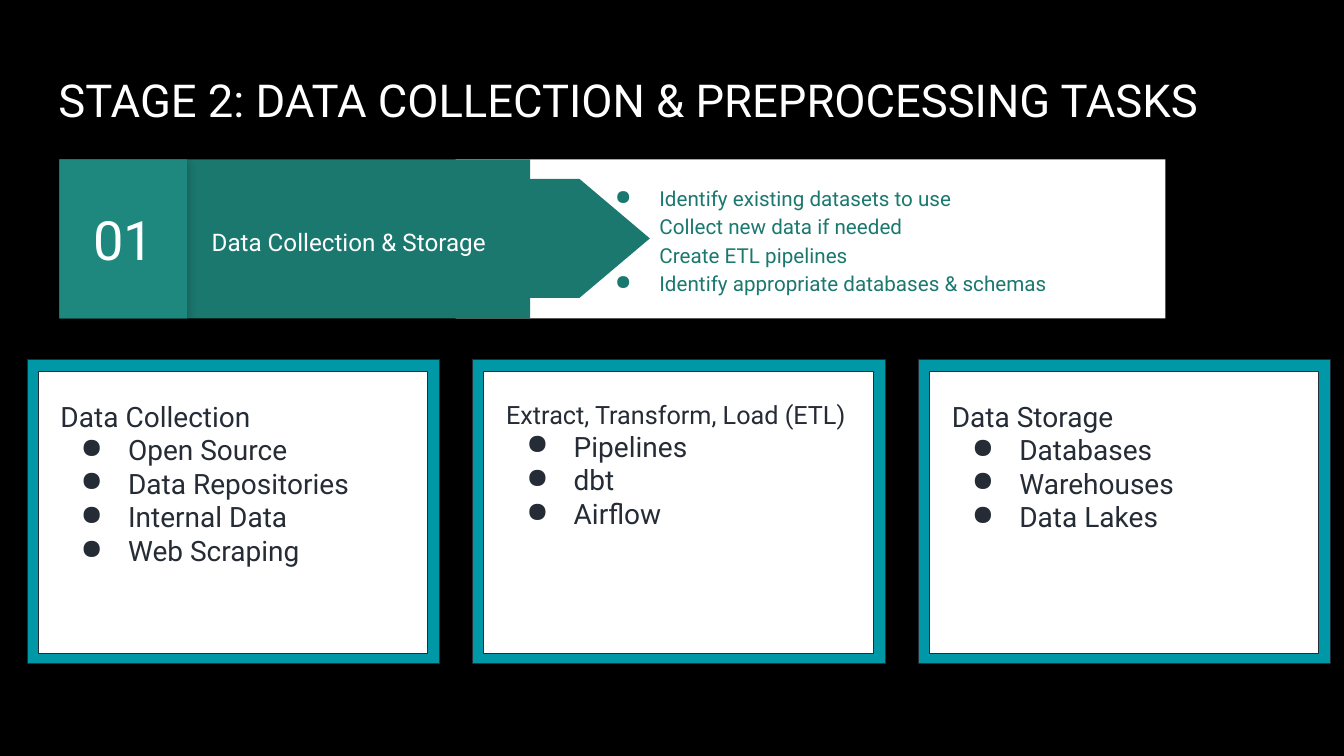
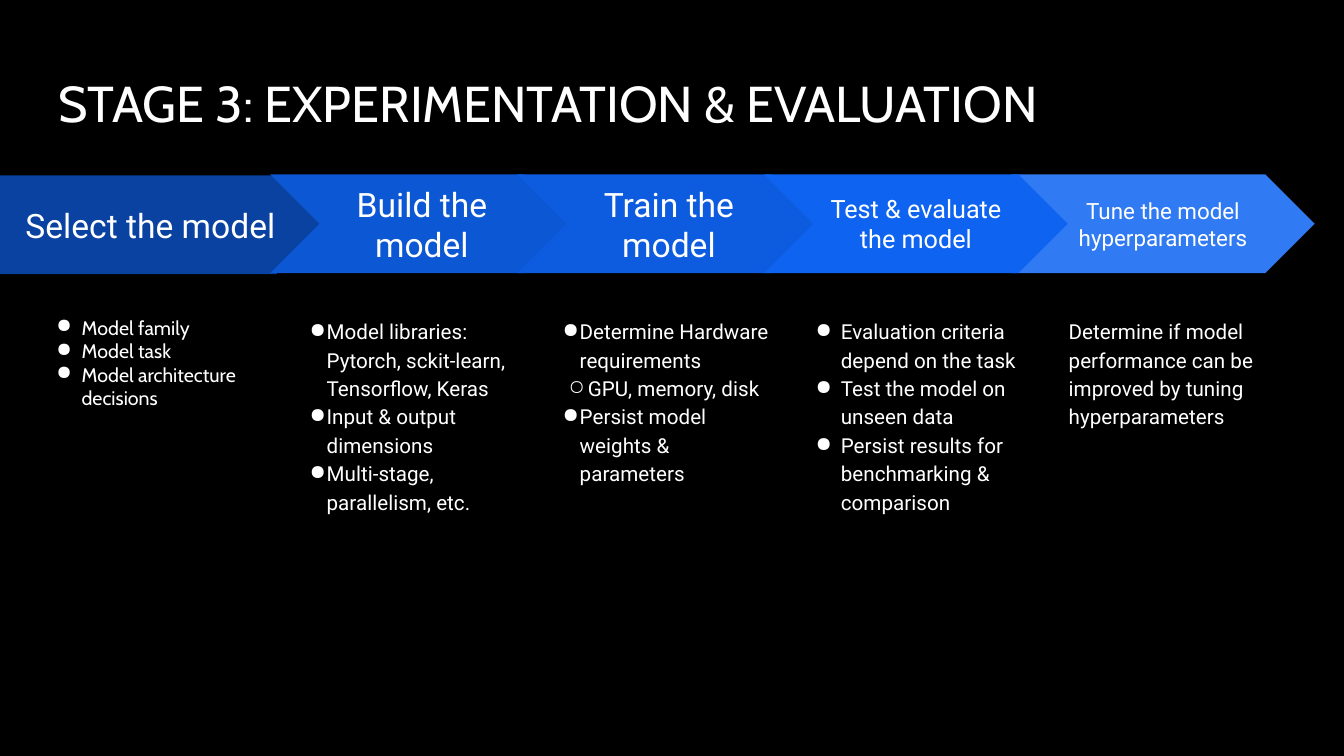
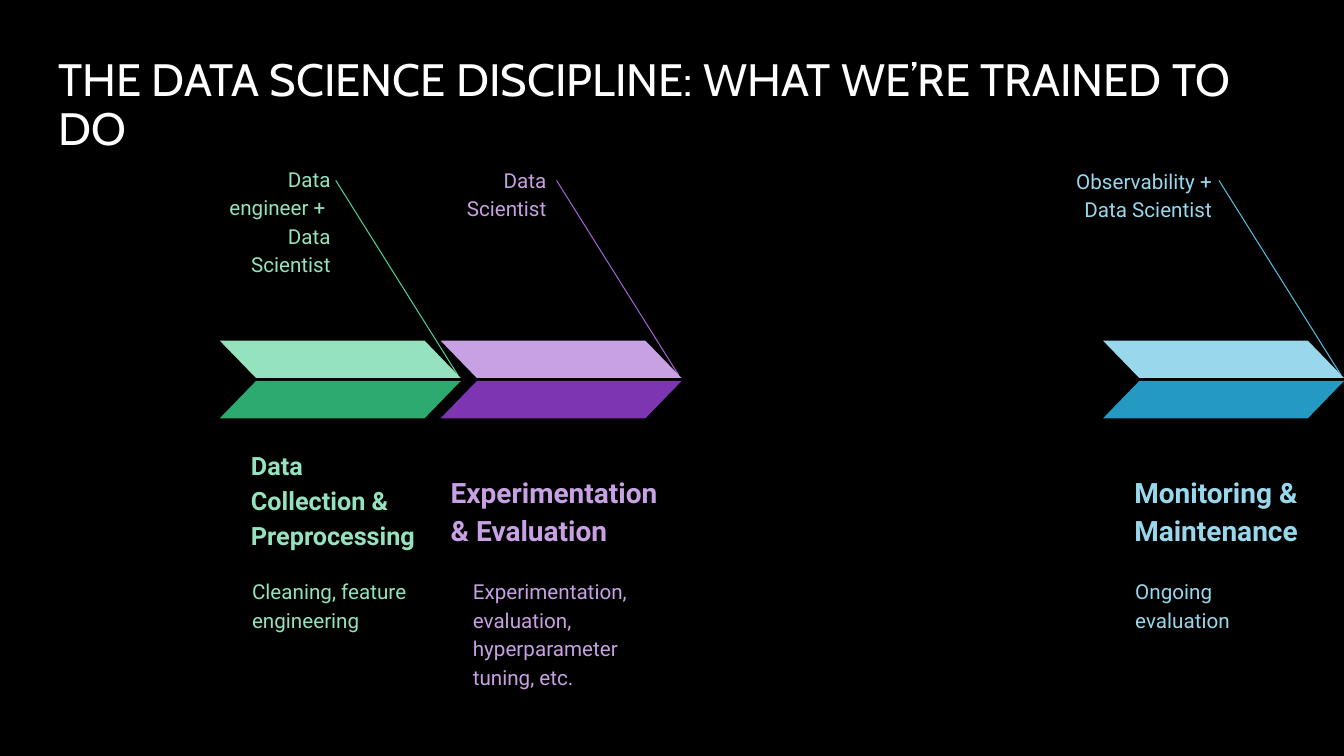
from dataclasses import dataclass

from lxml import etree
from pptx import Presentation
from pptx.dml.color import RGBColor
from pptx.enum import shapes, text
from pptx.oxml import ns
from pptx.util import Inches, Pt

COLORS = {
    "background": "000000", "white": "FFFFFF", "ink": "252C36", "frame": "0097A7",
    "teal": "1B786F", "teal_number": "1F887E", "teal_shade": "1D7E75",
    "step1": "0942A1", "step2": "0C57D3", "step3": "0D5CDF", "step4": "0E63F0",
    "step5": "307AF3",
    "green_light": "95E3BE", "green_line": "4FD093", "green_dark": "2DAA6F",
    "purple_light": "C7A1E3", "purple_line": "A262D0", "purple_dark": "7D35B1",
    "blue_light": "98D7EC", "blue_line": "54BCDF", "blue_dark": "249AC2",
}
BODY_SIZE = 14.7
MARGIN = 0.13
SHAPE = shapes.MSO_SHAPE
ALIGN = text.PP_ALIGN
ANCHOR = text.MSO_ANCHOR


@dataclass
class Item:
    """A paragraph; indent and hang are in inches."""
    text: str
    bullet: str = ""
    indent: float = 0
    hang: float = 0
    size: float = 0
    level: int = 0


def bullets(lines, indent, hang):
    return [Item(line, "●", indent, hang) for line in lines]


def rgb(color):
    return RGBColor.from_string(COLORS[color])


def add_xml(parent, tag, **attributes):
    element = etree.SubElement(parent, ns.qn(tag))
    for name, value in attributes.items():
        element.set(name, str(value))
    return element


def set_bullet(paragraph, item):
    properties = paragraph._p.get_or_add_pPr()
    properties.set("marL", str(Inches(item.indent)))
    properties.set("indent", str(-Inches(item.hang)))
    if item.bullet:
        add_xml(properties, "a:buChar", char=item.bullet)
    else:
        add_xml(properties, "a:buNone")


def write(shape, items, size, color="white", font="Roboto", align=ALIGN.LEFT,
          anchor=ANCHOR.TOP, spacing=1.0, bold=False):
    frame = shape.text_frame
    frame.word_wrap = True
    frame.vertical_anchor = anchor
    frame.margin_left = frame.margin_right = Inches(MARGIN)
    frame.margin_top = frame.margin_bottom = Inches(MARGIN)
    items = [Item(items)] if isinstance(items, str) else items
    for index, item in enumerate(items):
        paragraph = frame.add_paragraph() if index else frame.paragraphs[0]
        paragraph.text = item.text
        paragraph.level = item.level
        set_bullet(paragraph, item)
        paragraph.alignment = align
        paragraph.line_spacing = spacing
        paragraph.font.name = font
        paragraph.font.size = Pt(item.size or size)
        paragraph.font.bold = bold
        paragraph.font.color.rgb = rgb(color)


def add_text(slide, box, items, size=BODY_SIZE, **style):
    write(slide.shapes.add_textbox(*map(Inches, box)), items, size, **style)


def add_box(slide, kind, box, fill, line=None):
    shape = slide.shapes.add_shape(kind, *map(Inches, box))
    shape.shadow.inherit = False
    shape.fill.solid()
    shape.fill.fore_color.rgb = rgb(fill)
    if line:
        shape.line.color.rgb = rgb(line)
        shape.line.width = Pt(0.75)
    else:
        shape.line.fill.background()
    return shape


def flip_horizontally(shape):
    shape._element.spPr.find(ns.qn("a:xfrm")).set("flipH", "1")


def add_soft_shadow(shape):
    effects = shape._element.spPr.find(ns.qn("a:effectLst"))
    shadow = add_xml(effects, "a:outerShdw", blurRad=Pt(5.6), dist=Pt(2.2),
                     dir=45 * 60000, algn="tl", rotWithShape=0)
    add_xml(add_xml(shadow, "a:srgbClr", val=COLORS["background"]), "a:alpha", val=17000)


def add_line(slide, start, end, color):
    line = slide.shapes.add_connector(shapes.MSO_CONNECTOR.STRAIGHT,
                                      *map(Inches, (*start, *end)))
    line.line.color.rgb = rgb(color)
    line.line.width = Pt(0.75)
    add_xml(line._element.spPr, "a:effectLst")


def add_slide(presentation, title, size, font="Cabin", top=0.65):
    slide = presentation.slides.add_slide(presentation.slide_layouts[6])
    slide.background.fill.solid()
    slide.background.fill.fore_color.rgb = rgb("background")
    add_text(slide, (0.45, top, 12.42, 0.84), title, size, font=font, spacing=0.9)
    return slide


def add_stage_banner(slide):
    top, height = 1.58, 1.58
    add_box(slide, SHAPE.RECTANGLE, (4.52, top, 7.04, height), "white")
    add_box(slide, SHAPE.RECTANGLE, (1.86, top, 3.4, height), "teal")
    pointer = add_box(slide, SHAPE.FLOWCHART_OFFPAGE_CONNECTOR,
                      (4.11, 0.62, 1.18, 3.49), "teal")
    pointer.rotation = 270
    add_text(slide, (1.97, 1.77, 3.58, 1.22), "Data Collection & Storage", 17.3,
             anchor=ANCHOR.MIDDLE, spacing=1.15)
    number_box = (0.59, top, 1.27, height)
    add_soft_shadow(add_box(slide, SHAPE.RECTANGLE, number_box, "teal_shade"))
    number = add_box(slide, SHAPE.RECTANGLE, number_box, "teal_number")
    write(number, "01", 38.7, align=ALIGN.CENTER, anchor=ANCHOR.MIDDLE)
    tasks = [
        Item("Identify existing datasets to use", "●", 0.67, 0.44),
        Item("Collect new data if needed", indent=0.67),
        Item("Create ETL pipelines", indent=0.67),
        Item("Identify appropriate databases & schemas", "●", 0.67, 0.44),
    ]
    add_text(slide, (5.74, top, 5.48, height), tasks, color="teal",
             anchor=ANCHOR.MIDDLE, spacing=1.15)


def add_card(slide, left, heading, lines):
    add_box(slide, SHAPE.RECTANGLE, (left, 3.57, 4.09, 3.01), "frame", "ink")
    add_box(slide, SHAPE.RECTANGLE, (left + 0.11, 3.69, 3.86, 2.79), "white", "ink")
    add_text(slide, (left + 0.2, 3.83, 3.68, 2.56),
             [heading, *bullets(lines, 0.67, 0.47)], 20, color="ink")


def build_collection(presentation):
    slide = add_slide(presentation, "STAGE 2: DATA COLLECTION & PREPROCESSING TASKS",
                      32.4, font="Roboto")
    add_stage_banner(slide)
    cards = [
        (Item("Data Collection"),
         ["Open Source", "Data Repositories", "Internal Data", "Web Scraping"]),
        (Item("Extract, Transform, Load (ETL)", size=18), ["Pipelines", "dbt", "Airflow"]),
        (Item("Data Storage"), ["Databases", "Warehouses", "Data Lakes"]),
    ]
    for index, (heading, lines) in enumerate(cards):
        add_card(slide, 0.27 + 4.42 * index, heading, lines)


def add_step(slide, index, label, label_size, details, **style):
    if index:
        kind, box = SHAPE.CHEVRON, (2.68 + 2.45 * (index - 1), 1.73, 3.01, 0.98)
    else:
        kind, box = SHAPE.PENTAGON, (0, 1.74, 3.23, 0.98)
    arrow = add_box(slide, kind, box, f"step{index + 1}")
    write(arrow, label, label_size, align=ALIGN.CENTER, anchor=ANCHOR.MIDDLE)
    add_text(slide, (0.43 + 2.51 * index, 3, 2.37, 3.43), details, **style)


def build_experimentation(presentation):
    slide = add_slide(presentation, "STAGE 3: EXPERIMENTATION & EVALUATION", 36)
    add_step(slide, 0, "Select the model", 24,
             bullets(["Model family", "Model task", "Model architecture decisions"],
                     0.25, 0.26), size=14, font="Cabin")
    hardware, persist = bullets(["Determine Hardware requirements",
                                 "Persist model weights & parameters"], 0.17, 0.19)
    steps = [
        (1, "Build the model", 24,
         bullets(["Model libraries: Pytorch, sckit-learn, Tensorflow, Keras",
                  "Input & output dimensions", "Multi-stage, parallelism, etc."],
                 0.17, 0.19)),
        (2, "Train the model", 24,
         [hardware, Item("GPU, memory, disk", "○", 0.25, 0.19, level=1), persist]),
        (4, "Tune the model hyperparameters", 16,
         "Determine if model performance can be improved by tuning hyperparameters"),
        (3, "Test & evaluate the model", 18,
         bullets(["Evaluation criteria depend on the task",
                  "Test the model on unseen data",
                  "Persist results for benchmarking & comparison"], 0.25, 0.27)),
    ]
    for step in steps:
        add_step(slide, *step, spacing=1.15)


def add_phase(slide, position, hue, role, role_box, heading, heading_box, size, body):
    """Draw a folded arrow with its role above and its work below."""
    left = 2.18 + 2.19 * position
    light = f"{hue}_light"
    add_line(slide, (left + 1.15, 1.79), (left + 2.36, 3.72), f"{hue}_line")
    for top, fill in ((3.38, light), (3.78, f"{hue}_dark")):
        half = add_box(slide, SHAPE.PARALLELOGRAM, (left, top, 2.39, 0.37), fill)
        half.adjustments[0] = 0.97
        if fill == light:
            flip_horizontally(half)
    style = {"color": light, "spacing": 1.15}
    add_text(slide, heading_box, heading, size, anchor=ANCHOR.BOTTOM, bold=True, **style)
    add_text(slide, (left + 0.19, 5.58, 1.97, 1.92), body, **style)
    add_text(slide, role_box, role, align=ALIGN.RIGHT, **style)


def build_discipline(presentation):
    slide = add_slide(presentation,
                      "THE DATA SCIENCE DISCIPLINE: WHAT WE’RE TRAINED TO DO",
                      32.4, top=0.44)
    phases = [
        (0, "green", "Data engineer + \vData Scientist", (2.14, 1.49, 1.27, 1.83),
         "Data Collection & Preprocessing", (2.36, 4.35, 1.97, 1.24), 18,
         "Cleaning, feature engineering"),
        (1, "purple", "Data Scientist", (4.28, 1.5, 1.27, 1.92),
         "Experimentation & Evaluation", (4.34, 4.4, 2.39, 1.16), 20,
         "Experimentation, evaluation, hyperparameter tuning, etc."),
        (4, "blue", "Observability + Data Scientist", (10.51, 1.51, 1.64, 1.92),
         "Monitoring & Maintenance", (11.12, 4.4, 1.97, 1.16), 20,
         "Ongoing evaluation"),
    ]
    for phase in phases:
        add_phase(slide, *phase)


def main():
    presentation = Presentation()
    presentation.slide_width = Inches(13.33)
    presentation.slide_height = Inches(7.5)
    build_collection(presentation)
    build_experimentation(presentation)
    build_discipline(presentation)
    presentation.save("out.pptx")


if __name__ == "__main__":
    main()
